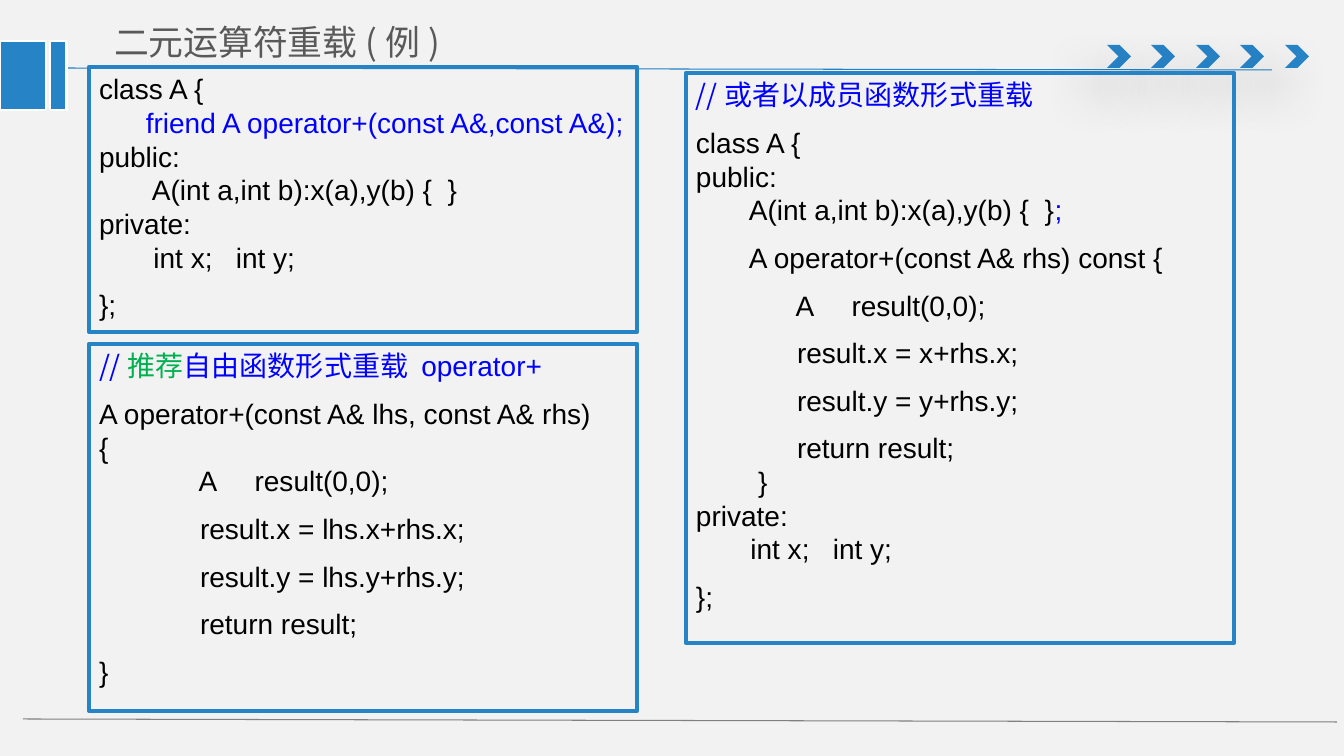
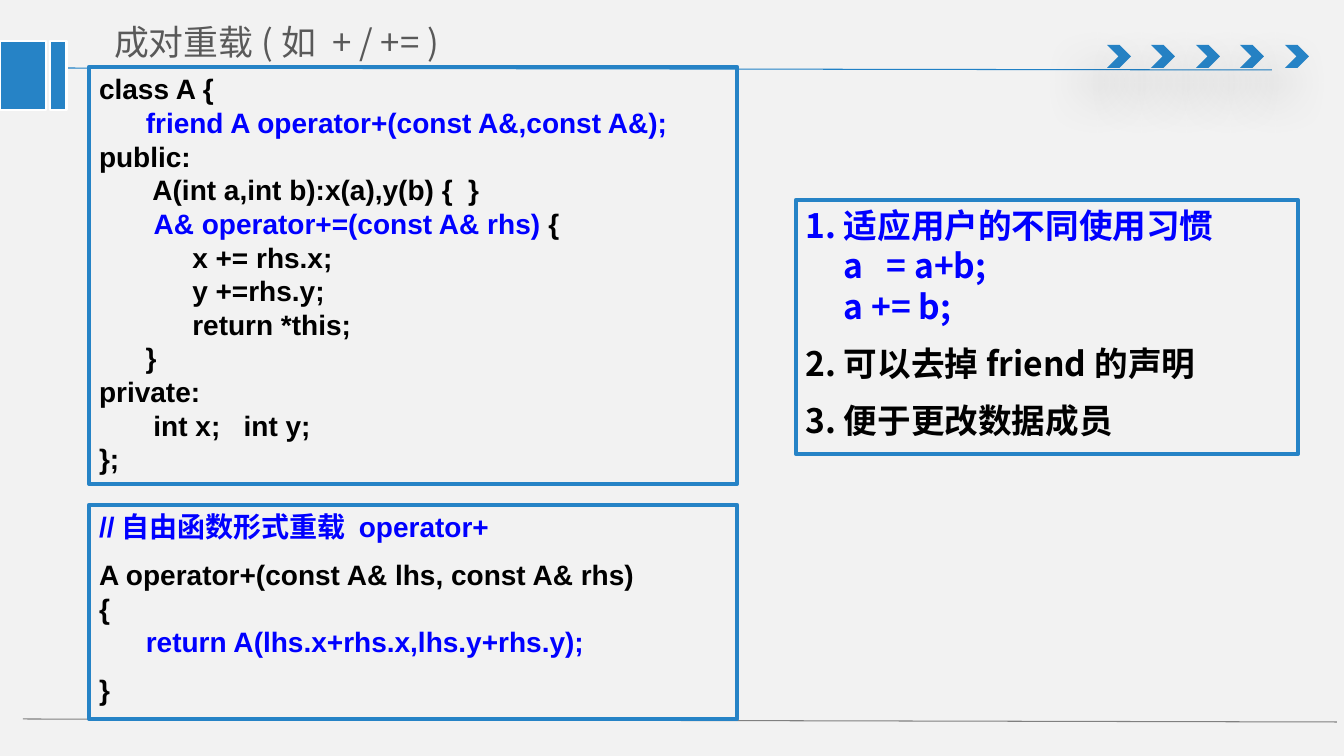
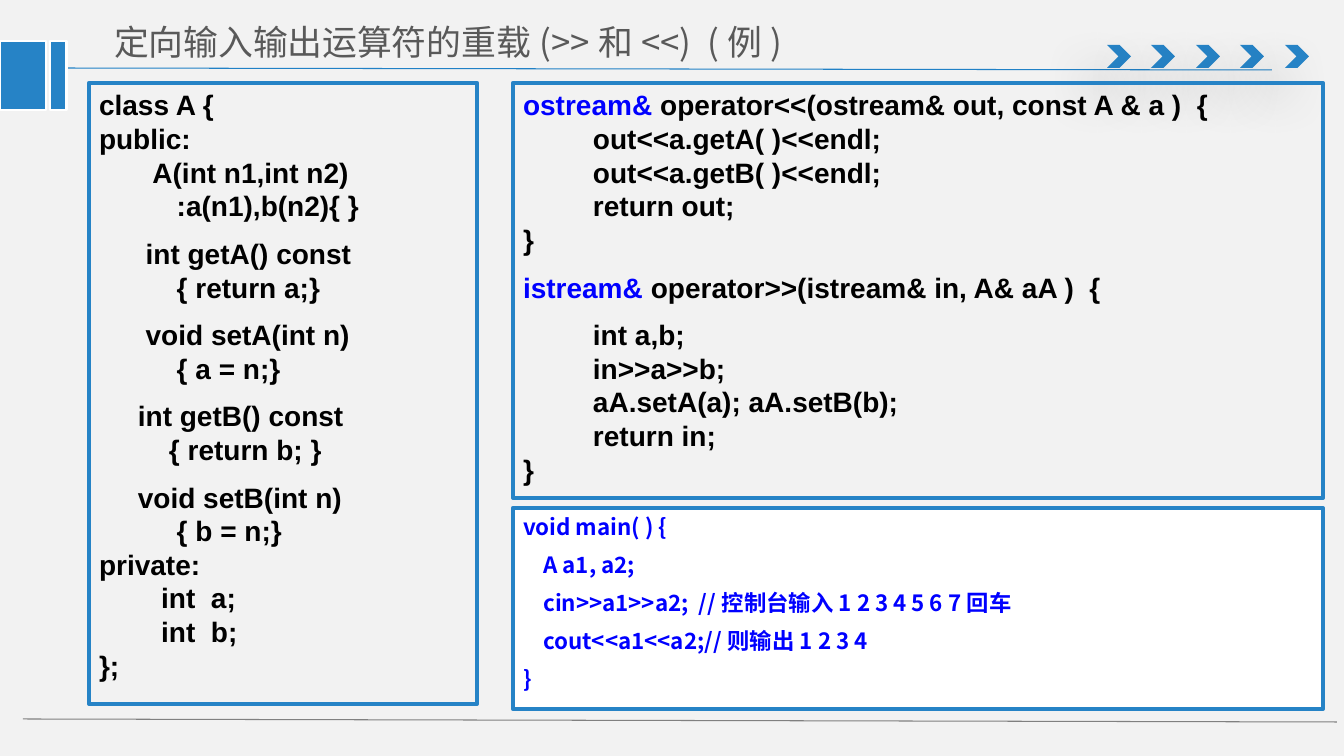
from lxml import etree
from pptx import Presentation
from pptx.dml.color import RGBColor
from pptx.enum.shapes import MSO_CONNECTOR, MSO_SHAPE
from pptx.enum.text import MSO_ANCHOR, MSO_AUTO_SIZE, PP_ALIGN
from pptx.oxml.ns import qn
from pptx.util import Emu, Pt

RECT, CHEVRON = MSO_SHAPE.RECTANGLE, MSO_SHAPE.CHEVRON
STRAIGHT = MSO_CONNECTOR.STRAIGHT
TOP, MIDDLE = MSO_ANCHOR.TOP, MSO_ANCHOR.MIDDLE
LEFT = PP_ALIGN.LEFT
NO_FIT = MSO_AUTO_SIZE.NONE

ACCENT = RGBColor(0x26, 0x83, 0xC6)
RULE = RGBColor(0x21, 0x81, 0xC6)
GRAY = RGBColor(0x80, 0x80, 0x80)
TITLE = RGBColor(0x59, 0x59, 0x59)
PAPER = RGBColor(0xF2, 0xF2, 0xF2)
WHITE = RGBColor(0xFF, 0xFF, 0xFF)
BLACK = RGBColor(0, 0, 0)
BLUE = RGBColor(0, 0, 0xFF)
GREEN = RGBColor(0, 0xB0, 0x50)

ARIAL, NOTO = "Arial", "Noto Sans CJK SC"
EMU_PER_PX = 914400 / 100.8


def px(*lengths):
    return [Emu(round(n * EMU_PER_PX)) for n in lengths]


# ---- text and shape helpers ----
def style(r, size, color, font, bold):
    r.font.size = Pt(size)
    r.font.color.rgb = color
    r.font.bold = bold
    r.font.name = font
    etree.SubElement(r.font._element, qn("a:ea"), typeface=NOTO)


def add_text(p, text, *look):
    for i, line in enumerate(text.split("\n")):
        if i:
            p.add_line_break()
        if line:
            r = p.add_run()
            r.text = line
            style(r, *look)


def frame(shape, anchor, inset_x, inset_y):
    tf = shape.text_frame
    tf.word_wrap = True
    tf.auto_size = NO_FIT
    tf.vertical_anchor = anchor
    tf.margin_left = tf.margin_right = px(inset_x)[0]
    tf.margin_top = tf.margin_bottom = px(inset_y)[0]
    return tf


def add_box(s, kind, box, fill=None, line=None, width=0):
    sp = s.shapes.add_shape(kind, *px(*box))
    sp.shadow.inherit = False
    if fill is None:
        sp.fill.background()
    else:
        sp.fill.solid()
        sp.fill.fore_color.rgb = fill
    if line is None:
        sp.line.fill.background()
    else:
        sp.line.color.rgb = line
        sp.line.width = Pt(width)
    return sp


def add_rule(s, ends, color):
    rule = s.shapes.add_connector(STRAIGHT, *px(*ends))
    rule.line.color.rgb = color
    rule.line.width = Pt(0.75)
    etree.SubElement(rule._element.spPr, qn("a:effectLst"))


def add_shadow(sp):
    effects = sp._element.spPr.find(qn("a:effectLst"))
    shadow = etree.SubElement(effects, qn("a:outerShdw"), blurRad=str(Pt(36)),
                              dist=str(Pt(24)), dir=str(130 * 60000),
                              algn="tr", rotWithShape="0")
    color = etree.SubElement(shadow, qn("a:srgbClr"), val="000000")
    etree.SubElement(color, qn("a:alpha"), val="38000")


# ---- shared layout: background, rules, chevrons, bars ----
def decorate(s, layout):
    layout.background.fill.solid()
    layout.background.fill.fore_color.rgb = PAPER
    for ph in list(layout.placeholders)[1:]:
        ph.element.getparent().remove(ph.element)
    add_rule(s, (53, 68, 1272, 70), RULE)
    for i in range(5):
        add_shadow(add_box(s, CHEVRON, (1107 + 89 * i // 2, 45, 24, 23), ACCENT))
    add_rule(s, (23, 719, 1337, 722), GRAY)
    for x, w in ((0, 46), (50, 17)):
        add_box(s, RECT, (x, 41, w, 69), ACCENT, WHITE, 2)
    # the finished parts move to the layout, so that every slide shows them
    for sp in list(s.shapes):
        if not sp.is_placeholder:
            layout.shapes.element.append(sp.element)


def set_title(s, text, width):
    title = s.shapes.title
    title.left, title.top, title.width, title.height = px(100, 14, width, 55)
    p = frame(title, MIDDLE, 14, 7).paragraphs[0]
    p.alignment = LEFT
    add_text(p, text, 24.9, TITLE, NOTO, False)


# ---- framed panel: each paragraph is a list of text or (text, colour, font) ----
def panel(s, box, paragraphs, bold=True, size=20, font=ARIAL, fill=None,
          numbered=False):
    sp = add_box(s, RECT, box, fill, ACCENT, 3)
    tf = frame(sp, TOP, 10, 5)
    for i, runs in enumerate(paragraphs):
        p = tf.add_paragraph() if i else tf.paragraphs[0]
        p.alignment = LEFT
        if numbered:
            pPr = p._p.get_or_add_pPr()
            indent = px(38)[0]
            pPr.set("marL", str(indent))
            pPr.set("indent", str(-indent))
            etree.SubElement(pPr, qn("a:buFont"), typeface="+mj-lt")
            etree.SubElement(pPr, qn("a:buAutoNum"), type="arabicPeriod")
        p.line_spacing = Pt(size * 1.2)
        if i:
            p.space_before = Pt(size / 2)
        for run in runs:
            text, color, face = run if isinstance(run, tuple) else (run, BLACK, font)
            add_text(p, text, size, color, face, bold)


def blue(text, font=ARIAL):
    return text, BLUE, font


# ---- slides ----
FRIEND = ["class A {\n      ", blue("friend A operator+(const A&,const A&);\n")]
CONSTRUCTOR = "public:\n       A(int a,int b):x(a),y(b) {  }"
MEMBERS = "private:   \n       int x;   int y;"
FREE_HEAD = "A operator+(const A& lhs, const A& rhs)\n{\n"
RESULT = "             A     result(0,0);"
RETURN = "             return result;"


def binary_slide(s):
    set_title(s, "二元运算符重载(例)", 467)
    panel(s, (89, 67, 548, 265),
          [FRIEND + [CONSTRUCTOR + "\n" + MEMBERS], ["};"]], bold=False)
    panel(s, (89, 344, 548, 367), [
        [blue("//", NOTO), ("推荐", GREEN, ARIAL),
         blue("自由函数形式重载 ", NOTO), blue("operator+")],
        [FREE_HEAD + RESULT],
        ["             result.x = lhs.x+rhs.x;"],
        ["             result.y = lhs.y+rhs.y;"],
        [RETURN],
        ["}"],
    ], bold=False)
    panel(s, (686, 73, 548, 570), [
        [blue("//或者以成员函数形式重载", NOTO)],
        ["class A {      \n" + CONSTRUCTOR, blue(";")],
        ["       A operator+(const A& rhs) const {"],
        [RESULT],
        ["             result.x = x+rhs.x;"],
        ["             result.y = y+rhs.y;"],
        [RETURN + "\n        }\n" + MEMBERS],
        ["};"],
    ], bold=False)


def pair_slide(s):
    set_title(s, "成对重载(如 + / += )", 467)
    panel(s, (89, 67, 648, 417), [FRIEND + [
        CONSTRUCTOR + "\n       ",
        blue("A& operator+=(const A& rhs) "),
        "{\n            x += rhs.x;\n            y +=rhs.y;\n"
        "            return *this;\n      }\n" + MEMBERS + "\n};",
    ]])
    panel(s, (89, 505, 648, 214), [
        [blue("//自由函数形式重载 operator+")],
        [FREE_HEAD + "      ", blue("return A(lhs.x+rhs.x,lhs.y+rhs.y);")],
        ["}"],
    ])
    panel(s, (796, 200, 502, 254), [
        [blue("适应用户的不同使用习惯\na   = a+b;\na += b;", NOTO)],
        ["可以去掉friend的声明"],
        ["便于更改数据成员"],
    ], size=24, font=NOTO, numbered=True)


def stream_slide(s):
    set_title(s, "定向输入输出运算符的重载(>>和<<)  (例)", 758)
    panel(s, (89, 83, 388, 621), [
        ["class A {\npublic: \n       A(int n1,int n2)\n          :a(n1),b(n2){ }"],
        ["      int getA() const \n          { return a;}"],
        ["      void setA(int n)\n          { a = n;}"],
        ["     int getB() const\n         { return b; }"],
        ["     void setB(int n)\n          { b = n;}\n"
         "private:\n        int  a;\n        int  b;\n};"],
    ])
    panel(s, (513, 83, 810, 415), [
        [blue("ostream& "),
         "operator<<(ostream& out, const A & a )  {\n"
         "         out<<a.getA( )<<endl;\n         out<<a.getB( )<<endl;\n"
         "         return out;\n}"],
        [blue("istream& "), "operator>>(istream& in, A& aA )  {"],
        ["         int a,b;\n         in>>a>>b; \n"
         "         aA.setA(a); aA.setB(b);\n         return in;\n}"],
    ])
    main_lines = ("void main( ) {", "    A a1, a2;",
                  "    cin>>a1>>a2;  //控制台输入1 2 3 4 5 6 7回车",
                  "    cout<<a1<<a2;//则输出1 2 3 4", "}")
    panel(s, (513, 508, 810, 201), [[blue(line, NOTO)] for line in main_lines],
          size=16, fill=WHITE)


def main():
    prs = Presentation()
    prs.slide_width, prs.slide_height = px(1344, 756)
    layout = prs.slide_layouts[5]
    for i, build in enumerate((binary_slide, pair_slide, stream_slide)):
        s = prs.slides.add_slide(layout)
        if i == 0:
            decorate(s, layout)
        build(s)
    prs.save("out.pptx")


if __name__ == "__main__":
    main()
